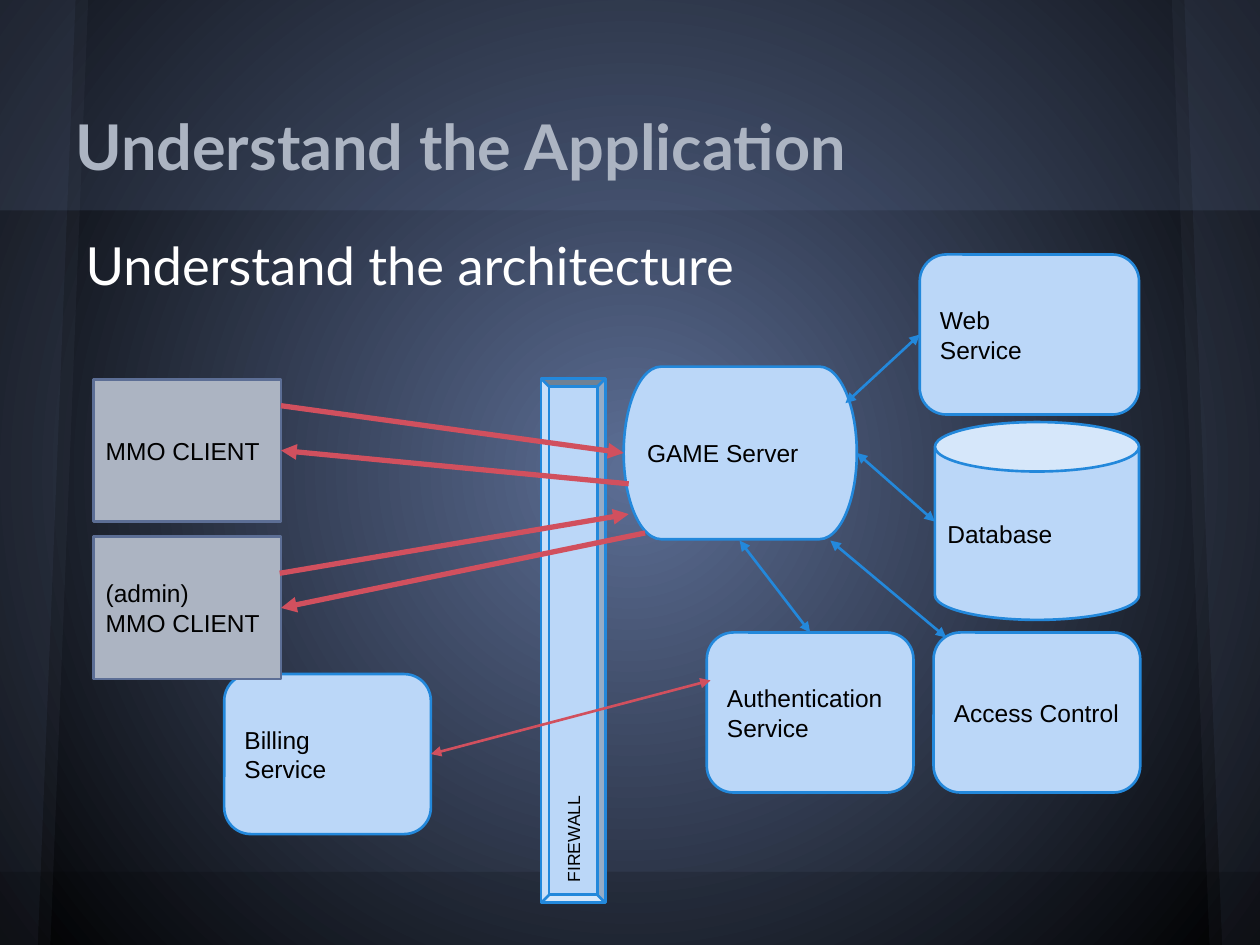
"""Build a slide that maps the architecture of an online game."""
import dataclasses

import lxml.etree
import pptx
import pptx.dml.color
import pptx.enum.dml
import pptx.enum.shapes
import pptx.enum.text
import pptx.oxml
import pptx.oxml.ns
import pptx.util


@dataclasses.dataclass(frozen=True)
class Theme:
    slate: str = "5C6E95"
    dusk: str = "5A6378"
    black: str = "000000"
    white: str = "FFFFFF"
    silver: str = "ACB4C2"
    sky: str = "BBD7F8"
    blue: str = "2388DB"
    red: str = "D1505E"
    heading_font: str = "Lato"
    label_font: str = "Arial"
    title_size: int = 36
    body_size: int = 30
    label_size: int = 14
    small_size: int = 10
    thin: float = 1.5
    thick: float = 3


theme = Theme()
rgb = pptx.dml.color.RGBColor.from_string
qn = pptx.oxml.ns.qn
SHAPE = pptx.enum.shapes.MSO_SHAPE
ANCHOR = pptx.enum.text.MSO_ANCHOR

deck = pptx.Presentation()
deck.slide_width = pptx.util.Inches(10)
deck.slide_height = pptx.util.Inches(7.5)
slide = deck.slides.add_slide(deck.slide_layouts[6])
shapes = slide.shapes
COLUMN = deck.slide_width / 100
ROW = deck.slide_height / 75


def paint(shape, fill, alpha=None, outline=None):
    shape.shadow.inherit = False
    shape.fill.solid()
    shape.fill.fore_color.rgb = rgb(fill)
    if alpha is not None:
        color = shape.fill._xPr.find(qn("a:solidFill"))[0]
        lxml.etree.SubElement(color, qn("a:alpha"), val=str(alpha * 1000))
    if outline:
        shape.line.color.rgb = rgb(outline)
        shape.line.width = pptx.util.Pt(theme.thin)
    else:
        shape.line.fill.background()


def write(shape, text, size, font, color, anchor, bold=False, indent=1):
    frame = shape.text_frame
    frame.word_wrap = True
    frame.vertical_anchor = anchor
    frame.margin_left = round(indent * COLUMN)
    frame.margin_right = round(COLUMN)
    frame.margin_top = frame.margin_bottom = round(ROW)
    paragraph = frame.paragraphs[0]
    paragraph.text = text
    paragraph.alignment = pptx.enum.text.PP_ALIGN.LEFT
    for run in paragraph.runs:
        run.font.size = pptx.util.Pt(size)
        run.font.name = font
        run.font.bold = bold
        run.font.color.rgb = rgb(color)


backdrop = slide.background.fill
backdrop.gradient()
for stop, color in zip(backdrop.gradient_stops, (theme.slate, theme.black)):
    stop.color.rgb = rgb(color)
gradient = slide.background._cSld.find(".//" + qn("a:gradFill"))
gradient.remove(gradient.find(qn("a:lin")))
glow = lxml.etree.SubElement(gradient, qn("a:path"), path="circle")
lxml.etree.SubElement(glow, qn("a:fillToRect"), l="50000", t="50000", r="50000", b="50000")

header = shapes.add_shape(SHAPE.RECTANGLE, 0, 0, deck.slide_width, round(16.7 * ROW))
paint(header, theme.slate, 20)

for edge, inward in ((0, 1), (100, -1)):
    for top_width, bottom_width, color in ((7.1, 4.3, theme.dusk), (5.5, 3.3, theme.slate)):
        outline = shapes.build_freeform(edge, 0, scale=(COLUMN, ROW))
        outline.add_line_segments(
            [(edge + inward * top_width, 0), (edge + inward * bottom_width, 75), (edge, 75)])
        paint(outline.convert_to_shape(), color, 10)

footer = shapes.add_shape(
    SHAPE.RECTANGLE, 0, round(69.2 * ROW), deck.slide_width, round(5.8 * ROW))
paint(footer, theme.black, 15)

title = shapes.add_textbox(round(5 * COLUMN), round(3 * ROW), round(90 * COLUMN), round(12.5 * ROW))
write(title, "Understand the Application", theme.title_size, theme.heading_font,
      theme.silver, ANCHOR.BOTTOM, bold=True)
body = shapes.add_textbox(
    round(5 * COLUMN), round(17.5 * ROW), round(90 * COLUMN), round(54.3 * ROW))
write(body, "Understand the architecture", theme.body_size, theme.heading_font,
      theme.white, ANCHOR.TOP, indent=1.8)

service = (SHAPE.ROUNDED_RECTANGLE, theme.sky, theme.blue)
client = (SHAPE.RECTANGLE, theme.silver, theme.slate)
components = {}
for key, text, (kind, fill, outline), left, top, width, height in (
    ("firewall", "FIREWALL", (SHAPE.BEVEL, theme.sky, theme.blue), 24.7, 48.3, 41.6, 5.1),
    ("database", "Database", (SHAPE.CAN, theme.sky, theme.blue), 74.2, 33.5, 16.2, 15.7),
    ("authentication", "Authentication\nService", service, 56.1, 50.2, 16.4, 12.7),
    ("access", "Access Control", service, 74.1, 50.2, 16.4, 12.7),
    ("web", "Web\nService", service, 73, 20.2, 17.4, 12.7),
    ("game", "GAME Server", (SHAPE.FLOWCHART_TERMINATOR, theme.sky, theme.blue),
     49.5, 29.1, 18.5, 13.7),
    ("player", "MMO CLIENT", client, 7.4, 30.1, 14.9, 11.3),
    ("billing", "Billing\nService", service, 17.8, 53.5, 16.4, 12.7),
    ("admin", "(admin)\nMMO CLIENT", client, 7.4, 42.6, 14.9, 11.3),
):
    component = shapes.add_shape(
        kind, round(left * COLUMN), round(top * ROW), round(width * COLUMN), round(height * ROW))
    paint(component, fill, outline=outline)
    size = theme.small_size if key == "firewall" else theme.label_size
    write(component, text, size, theme.label_font, theme.black, ANCHOR.MIDDLE)
    components[key] = component
components["firewall"].rotation = 270

request = (theme.red, theme.thick, False)
internal = (theme.blue, theme.thin, True)
crossing = (theme.red, theme.thin, True)
for start, end, (color, weight, two_way), start_joint, end_joint in (
    ((22.3, 32.2), (49.5, 36), request, None, ("game", 1)),
    ((49.9, 38.4), (22.3, 35.7), request, None, ("player", 3)),
    ((67.9, 36), (74.2, 41.4), internal, ("game", 3), None),
    ((67.1, 32), (73, 26.6), internal, None, ("web", 1)),
    ((65.9, 42.9), (75.1, 50.6), internal, None, None),
    ((56.4, 54), (34.2, 59.9), crossing, None, ("billing", 3)),
    ((58.7, 42.9), (64.3, 50.2), internal, None, ("authentication", 0)),
    ((51.2, 42.3), (22.3, 48.2), request, None, ("admin", 3)),
    ((22.2, 45.5), (49.9, 40.8), request, None, None),
):
    flow = shapes.add_connector(
        pptx.enum.shapes.MSO_CONNECTOR.STRAIGHT,
        round(start[0] * COLUMN), round(start[1] * ROW),
        round(end[0] * COLUMN), round(end[1] * ROW))
    if start_joint:
        flow.begin_connect(components[start_joint[0]], start_joint[1])
    if end_joint:
        flow.end_connect(components[end_joint[0]], end_joint[1])
    flow.line.color.rgb = rgb(color)
    flow.line.width = pptx.util.Pt(weight)
    stroke = flow.line._get_or_add_ln()
    for arrowhead in ("a:headEnd", "a:tailEnd") if two_way else ("a:tailEnd",):
        lxml.etree.SubElement(stroke, qn(arrowhead), type="triangle")
    lxml.etree.SubElement(flow._element.spPr, qn("a:effectLst"))

deck.save("out.pptx")
